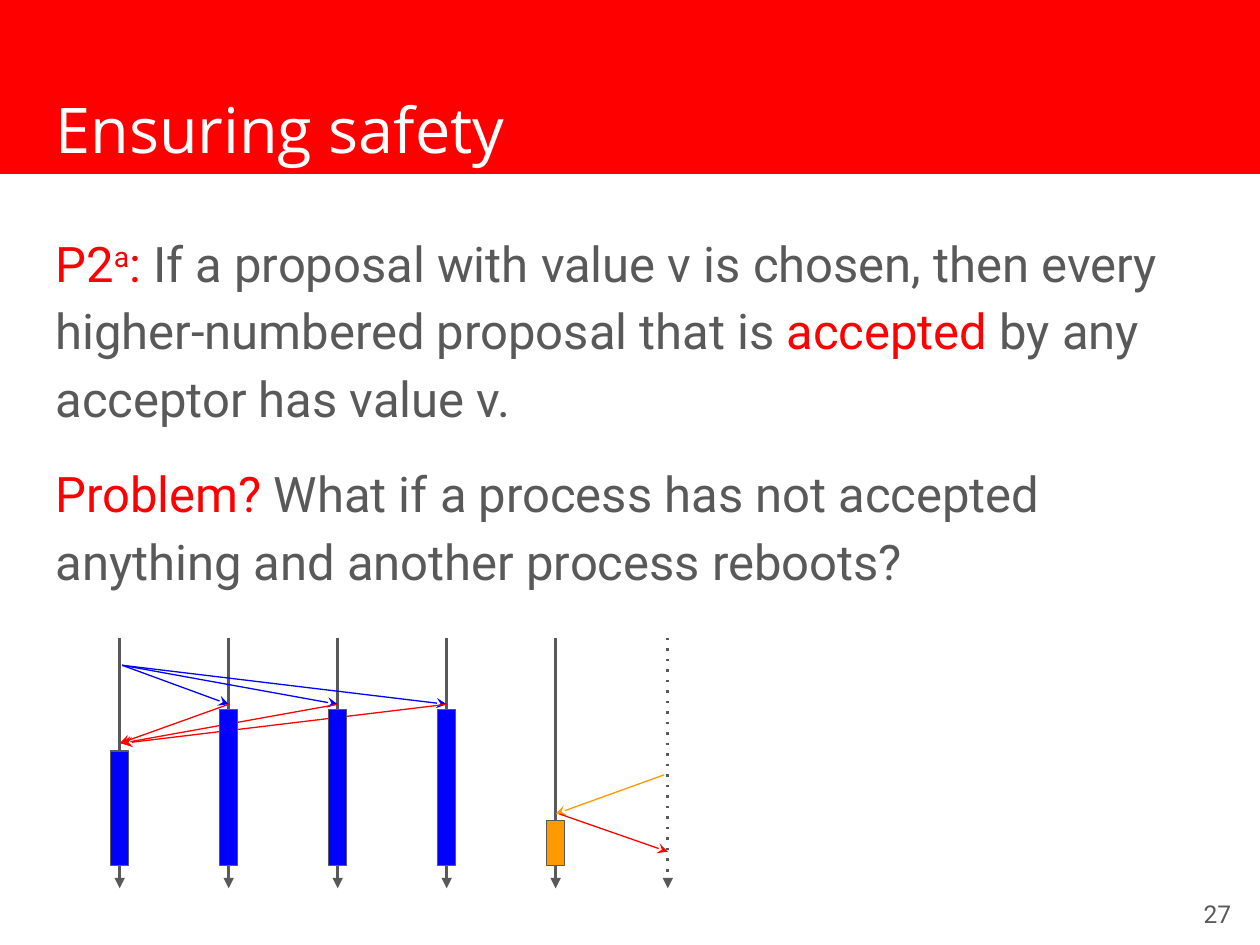
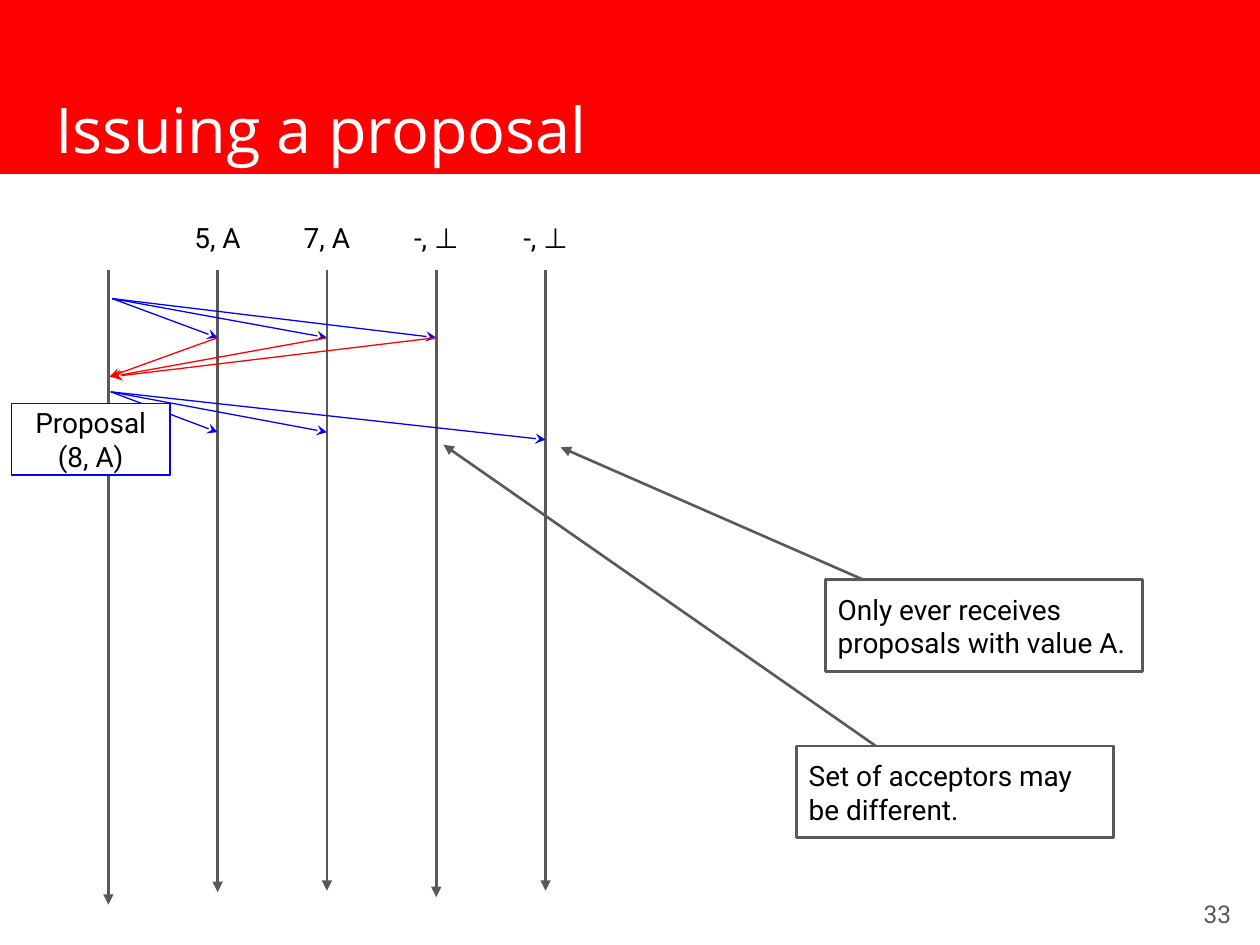
"""Build two slides on safety and proposals in a consensus protocol."""
from dataclasses import dataclass

from lxml.etree import SubElement
from pptx import Presentation
from pptx.dml.color import RGBColor
from pptx.enum.shapes import MSO_CONNECTOR, MSO_SHAPE
from pptx.enum.text import MSO_ANCHOR, MSO_AUTO_SIZE, PP_ALIGN
from pptx.oxml.ns import qn
from pptx.util import Inches, Pt


@dataclass(frozen=True)
class Theme:
    """Colours, fonts, type sizes and line widths of the deck."""
    red: str = "FF0000"
    blue: str = "0000FF"
    gold: str = "FF9900"
    gray: str = "595959"
    black: str = "000000"
    white: str = "FFFFFF"
    head: str = "Open Sans"
    text: str = "Roboto"
    title: int = 36
    body: int = 28
    note: int = 16
    page: int = 14
    thin: float = 0.75
    thick: float = 1.5


T = Theme()


def tint(code):
    """Turn a hex code into a colour."""
    return RGBColor.from_string(code)


def put(shape, left, top, width, height):
    """Place a shape, in inches."""
    shape.left, shape.top = Inches(left), Inches(top)
    shape.width, shape.height = Inches(width), Inches(height)


def frame(shape, anchor=MSO_ANCHOR.TOP):
    """Set the insets, wrap and anchor of a text frame and return it."""
    area = shape.text_frame
    area.word_wrap = True
    area.auto_size = MSO_AUTO_SIZE.NONE
    area.vertical_anchor = anchor
    area.margin_left = area.margin_right = Inches(0.1)
    area.margin_top = area.margin_bottom = Inches(0.1)
    return area


def add_run(para, text, size, color, font=T.text, raised=False):
    """Add one styled run to a paragraph."""
    run = para.add_run()
    run.text = text
    run.font.size, run.font.name = Pt(size), font
    run.font.color.rgb = tint(color)
    if raised:
        run._r.get_or_add_rPr().set("baseline", "30000")


def write(shape, lines, size, color, align=PP_ALIGN.LEFT,
          anchor=MSO_ANCHOR.TOP, font=T.text):
    """Write plain lines, one paragraph each."""
    area = frame(shape, anchor)
    for n, line in enumerate(lines):
        para = area.add_paragraph() if n else area.paragraphs[0]
        para.alignment = align
        add_run(para, line, size, color, font)


def add_box(slide, place, fill, edge, width=T.thin):
    """Add a filled rectangle."""
    box = slide.shapes.add_shape(MSO_SHAPE.RECTANGLE, *map(Inches, place))
    box.shadow.inherit = False
    box.fill.solid()
    box.fill.fore_color.rgb = tint(fill)
    box.line.color.rgb = tint(edge)
    box.line.width = Pt(width)
    return box


def add_label(slide, place, text, size, color, align, anchor=MSO_ANCHOR.TOP):
    """Add a one-line text box."""
    label = slide.shapes.add_textbox(*map(Inches, place))
    write(label, [text], size, color, align, anchor)


def add_arrow(slide, start, end, color, width=T.thin, tip="stealth", dash=None):
    """Add a straight arrow."""
    link = slide.shapes.add_connector(
        MSO_CONNECTOR.STRAIGHT, *map(Inches, (*start, *end)))
    link.line.color.rgb = tint(color)
    link.line.width = Pt(width)
    props = link.element.spPr
    line = props.find(qn("a:ln"))
    if dash:
        SubElement(line, qn("a:prstDash")).set("val", dash)
    SubElement(line, qn("a:tailEnd")).set("type", tip)
    SubElement(props, qn("a:effectLst"))


def add_lane(slide, x, top, end, dash=None):
    """Add the time line of one process."""
    add_arrow(slide, (x, top), (x, end), T.gray, T.thick, "triangle", dash)


def add_note(slide, left, top, text, start, goal):
    """Add a framed note and the arrow to what it explains."""
    add_arrow(slide, (start, top), goal, T.gray, T.thick, "triangle")
    box = add_box(slide, (left, top, 2.52, 0.73), T.white, T.gray, T.thick)
    write(box, [text], T.note, T.black)


def spread(first, last, count):
    """Space lanes evenly from first to last."""
    return [first + (last - first) * n / (count - 1) for n in range(count)]


def send(slide, x, y, goals):
    """Send one message to many lanes."""
    for goal in goals:
        add_arrow(slide, (x + 0.02, y), goal, T.blue)


def trade(slide, x, y, lanes):
    """Send to the lanes and draw their replies."""
    low = y + 0.31
    send(slide, x, y, [(lane, low) for lane in lanes])
    for n, lane in enumerate(lanes):
        add_arrow(slide, (lane, low), (x + 0.01 * n, low + 0.31), T.red)


def add_band(deck, slide):
    """Draw the title band and move it to the master."""
    band = add_box(slide, (0, 0, 10, 1.38), T.red, T.red)
    band.element.nvSpPr.cNvPr.set("id", "20")
    deck.slide_master.shapes.element.insert(2, band.element)


def add_slide(deck, layout, title, page):
    """Add a slide with its title and page number."""
    slide = deck.slides.add_slide(deck.slide_layouts[layout])
    head = slide.shapes.title
    put(head, 0.34, 0.62, 9.32, 0.83)
    write(head, [title], T.title, T.white, font=T.head)
    add_label(slide, (9.27, 6.97, 0.6, 0.57), page, T.page, T.gray,
              PP_ALIGN.RIGHT, MSO_ANCHOR.MIDDLE)
    return slide


def add_body(slide, paras):
    """Fill the body with paragraphs of (text, colour, raised) runs."""
    body = slide.placeholders[1]
    put(body, 0.34, 1.68, 9.32, 1.67)
    area = frame(body)
    for n, runs in enumerate(paras):
        para = area.add_paragraph() if n else area.paragraphs[0]
        para.line_spacing = 1.15
        para.space_before = para.space_after = Pt(16 if n else 0)
        props = para._p.get_or_add_pPr()
        props.set("marL", "0")
        props.set("indent", "0")
        SubElement(props, qn("a:buNone"))
        for text, color, raised in runs:
            add_run(para, text, T.body, color, raised=raised)


def safety(slide):
    """Show the rule and the case that breaks it."""
    add_body(slide, [
        [("P2", T.red, False), ("a", T.red, True), (": ", T.red, False),
         ("If a proposal with value v is chosen, then every higher-numbered "
          "proposal that is ", T.gray, False),
         ("accepted", T.red, False),
         (" by any acceptor has value v.", T.gray, False)],
        [("Problem? ", T.red, False),
         ("What if a process has not accepted anything and another process "
          "reboots?", T.gray, False)]])
    lanes = spread(0.95, 4.41, 5)
    for x in lanes:
        add_lane(slide, x, 5.06, 7.05)
    trade(slide, lanes[0], 5.28, lanes[1:4])
    late = 5.3
    add_lane(slide, late, 5.06, 7.05, "dot")
    add_arrow(slide, (late - 0.03, 6.15), (lanes[4], 6.46), T.gold)
    add_arrow(slide, (lanes[4] + 0.03, 6.46), (late, 6.76), T.red)
    tops = (5.96, 5.63, 5.63, 5.63, 6.51)
    fills = [T.blue] * 4 + [T.gold]
    for x, top, fill in zip(lanes, tops, fills):
        add_box(slide, (x - 0.07, top, 0.14, 6.87 - top), fill, T.gray)


def issue(slide):
    """Show how a proposer picks its value."""
    lanes = spread(0.86, 4.33, 5)
    for x, end in zip(lanes, (7.18, 7.08, 7.07, 7.12, 7.07)):
        add_lane(slide, x, 2.14, end)
    trade(slide, lanes[0] + 0.01, 2.37, lanes[1:4])
    for x, text in zip(lanes[1:], ("5, A", "7, A", "-, ⊥", "-, ⊥")):
        add_label(slide, (x - 0.3, 1.65, 0.6, 0.48), text, T.note, T.black,
                  PP_ALIGN.CENTER)
    send(slide, lanes[0], 3.11,
         [(lanes[1], 3.43), (lanes[2], 3.43), (lanes[4], 3.49)])
    box = add_box(slide, (0.09, 3.2, 1.26, 0.57), T.white, T.blue)
    write(box, ["Proposal", "(8, A)"], T.note, T.black, PP_ALIGN.CENTER,
          MSO_ANCHOR.MIDDLE)
    add_note(slide, 6.55, 4.6, "Only ever receives proposals with value A.",
             6.85, (4.45, 3.55))
    add_note(slide, 6.32, 5.92, "Set of acceptors may be different.",
             6.95, (3.52, 3.53))


def main():
    """Build and save the deck."""
    deck = Presentation()
    deck.slide_width, deck.slide_height = Inches(10), Inches(7.5)
    first = add_slide(deck, 1, "Ensuring safety", "27")
    add_band(deck, first)
    safety(first)
    issue(add_slide(deck, 5, "Issuing a proposal", "33"))
    deck.save("out.pptx")


if __name__ == "__main__":
    main()
